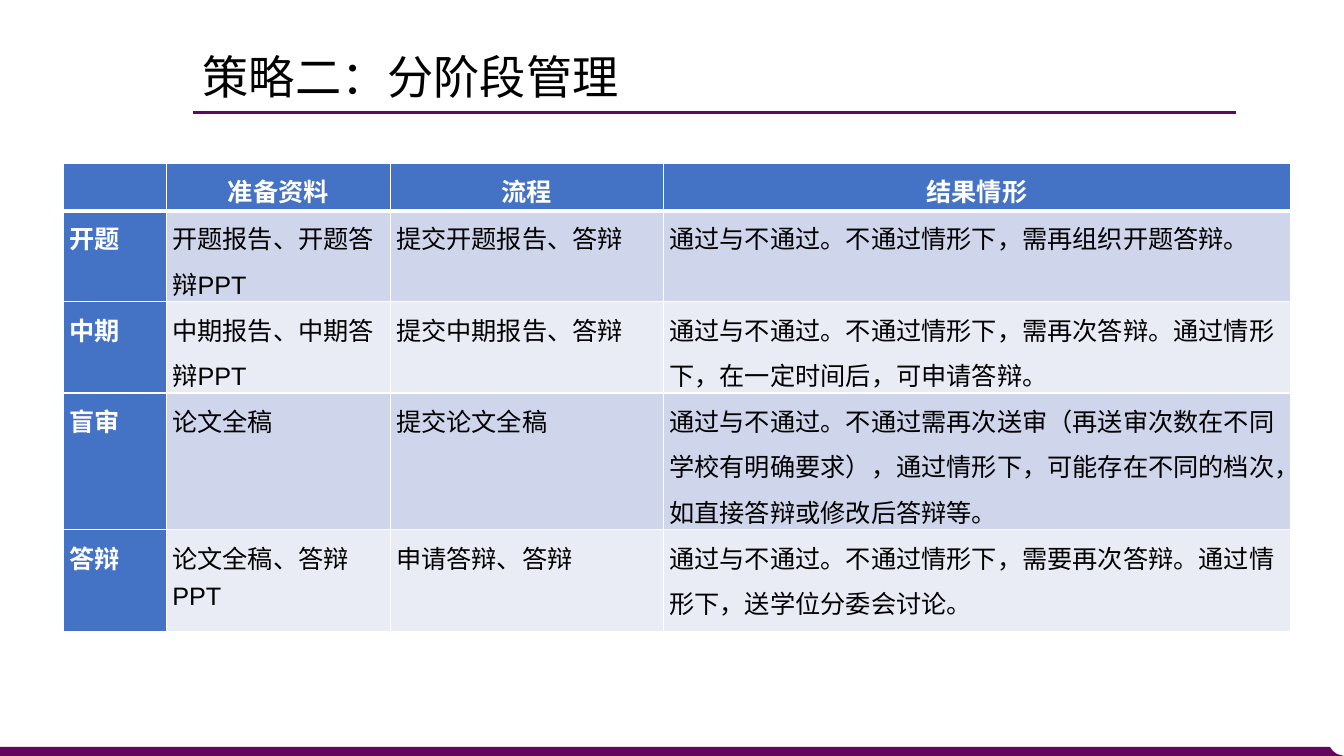
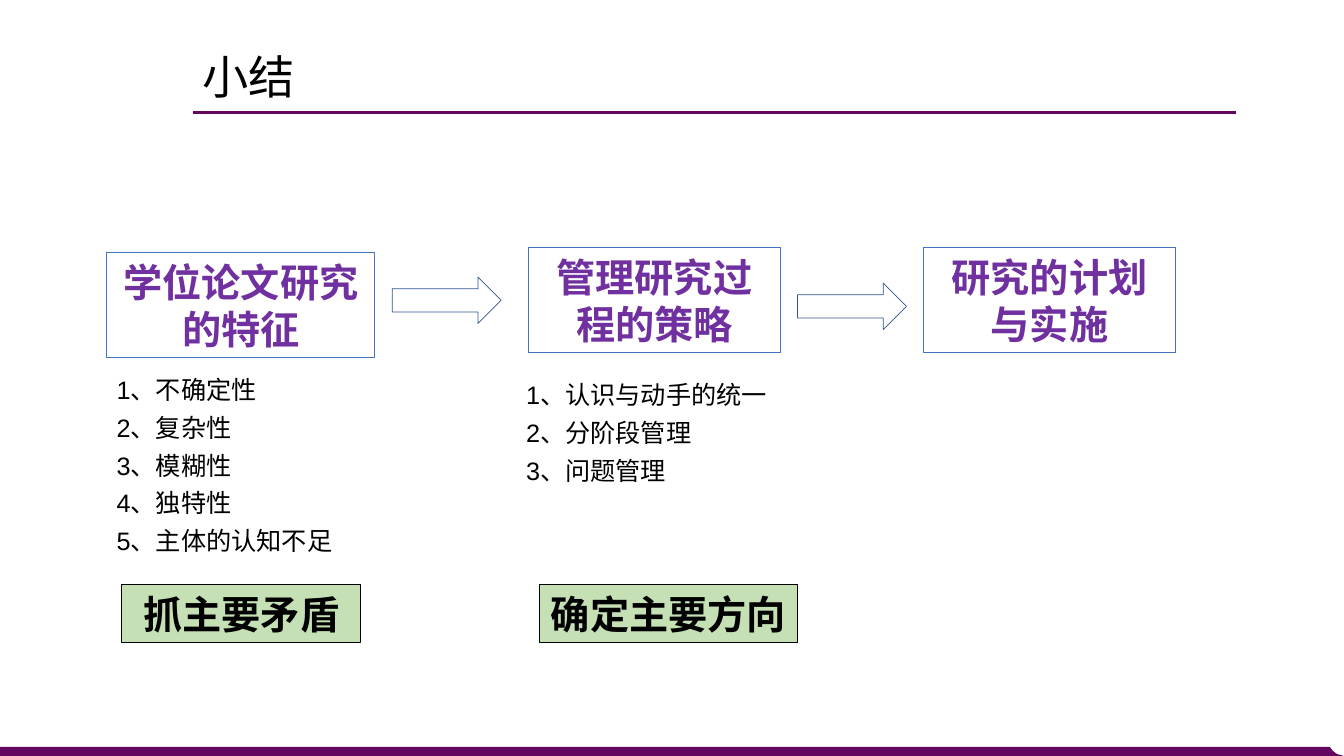
from lxml import etree
from pptx import Presentation
from pptx.dml.color import RGBColor
from pptx.enum.lang import MSO_LANGUAGE_ID as Language
from pptx.enum.shapes import MSO_CONNECTOR as Connector, MSO_SHAPE as Shape
from pptx.enum.text import MSO_ANCHOR as Anchor, MSO_AUTO_SIZE as AutoSize, PP_ALIGN as Align
from pptx.oxml.ns import qn
from pptx.util import Inches, Pt

CJK = "Noto Sans CJK SC"
LATIN = "Arial"
PURPLE = "63065F"
VIOLET = "7030A0"
BLUE = "4472C4"
ARROW_BLUE = "325491"
GREEN = "C5E0B4"
BLACK = "000000"
WHITE = "FFFFFF"
ROW_FILLS = ("CFD5EA", "E9EBF5")

STAGES = [
    ["", "准备资料", "流程", "结果情形"],
    ["开题", "开题报告、开题答辩PPT", "提交开题报告、答辩",
     "通过与不通过。不通过情形下，需再组织开题答辩。"],
    ["中期", "中期报告、中期答辩PPT", "提交中期报告、答辩",
     "通过与不通过。不通过情形下，需再次答辩。通过情形下，在一定时间后，可申请答辩。"],
    ["盲审", "论文全稿", "提交论文全稿",
     "通过与不通过。不通过需再次送审（再送审次数在不同学校有明确要求），"
     "通过情形下，可能存在不同的档次，如直接答辩或修改后答辩等。"],
    ["答辩", "论文全稿、答辩PPT", "申请答辩、答辩",
     "通过与不通过。不通过情形下，需要再次答辩。通过情形下，送学位分委会讨论。"],
]
COLUMN_WIDTHS = (1.02, 2.22, 2.71, 6.22)
ROW_HEIGHTS = (0.47, 0.72, 0.76, 1.07, 1.01)


def color(hex_value):
    return RGBColor.from_string(hex_value)


def inches(*values):
    return [Inches(value) for value in values]


def write(frame, text, size, hex_value, font=CJK, bold=False, align=Align.LEFT, spacing=None):
    """Fill a text frame, one paragraph a line, all in one format."""
    frame.text = text
    for para in frame.paragraphs:
        para.alignment = align
        para.line_spacing = spacing
        for span in para.runs:
            span.font.size = Pt(size)
            span.font.bold = bold
            span.font.name = font
            span.font.color.rgb = color(hex_value)
            span.font.language_id = Language.SIMPLIFIED_CHINESE
            east_asian = etree.Element(qn("a:ea"), typeface=CJK)
            span.font._element.find(qn("a:latin")).addnext(east_asian)


def set_up_layout(deck, layout):
    """Place the title, the rule under it and the bottom band on the layout."""
    title = layout.placeholders[0]
    title.left, title.top, title.width, title.height = inches(1.91, 0.44, 10.31, 0.69)

    slide = deck.slides.add_slide(layout)
    corner = [(13.19, 7.41), (13.22, 7.45), (13.26, 7.48), (13.33, 7.5), (0, 7.5)]
    outline = slide.shapes.build_freeform(*inches(0, 7.41), scale=1.0)
    outline.add_line_segments([inches(*point) for point in corner], close=True)
    band = outline.convert_to_shape()
    band.shadow.inherit = False
    band.fill.solid()
    band.fill.fore_color.rgb = color(PURPLE)
    band.line.fill.background()

    rule = slide.shapes.add_connector(Connector.STRAIGHT, *inches(1.91, 1.12, 12.26, 1.12))
    rule.line.color.rgb = color(PURPLE)
    rule.line.width = Pt(2.25)
    etree.SubElement(rule.element.spPr, qn("a:effectLst"))

    for number, shape in enumerate((band, rule), start=20):
        shape.element.xpath(".//p:cNvPr")[0].set("id", str(number))
        layout.shapes.element.append(shape.element)
    return slide


def set_title(slide, text):
    frame = slide.shapes.title.text_frame
    write(frame, text, 33, BLACK, spacing=0.9)
    frame.auto_size = AutoSize.NONE
    frame.vertical_anchor = Anchor.MIDDLE


def add_outline(slide, kind, area, line, width, fill=None):
    shape = slide.shapes.add_shape(kind, *inches(*area))
    shape.shadow.inherit = False
    shape.line.color.rgb = color(line)
    shape.line.width = Pt(width)
    if fill:
        shape.fill.solid()
        shape.fill.fore_color.rgb = color(fill)
    else:
        shape.fill.background()
    return shape


def add_label(slide, area, text, hex_value, line, fill=None):
    box = add_outline(slide, Shape.RECTANGLE, area, line, 0.75, fill)
    box.text_frame.word_wrap = True
    write(box.text_frame, text, 28, hex_value, bold=True, align=Align.CENTER)


def add_numbered(slide, area, items, align):
    frame = slide.shapes.add_textbox(*inches(*area)).text_frame
    frame.word_wrap = True
    lines = [f"{number}、{item}" for number, item in enumerate(items, start=1)]
    write(frame, "\n".join(lines), 18, BLACK, LATIN, align=align, spacing=1.25)


def add_border(cell, side, width):
    line = etree.SubElement(cell._tc.get_or_add_tcPr(), qn(f"a:ln{side}"), w=str(Pt(width)))
    fill = etree.SubElement(line, qn("a:solidFill"))
    etree.SubElement(fill, qn("a:srgbClr"), val=WHITE)


def format_cell(cell, text, row, column):
    header = row == 0
    strong = header or column == 0
    for side in "LRTB":
        add_border(cell, side, 3 if (row, side) in ((0, "B"), (1, "T")) else 1)
    cell.fill.solid()
    cell.fill.fore_color.rgb = color(BLUE if strong else ROW_FILLS[(row - 1) % 2])
    cell.margin_left = cell.margin_right = Inches(0.06)
    cell.margin_top = cell.margin_bottom = 0
    write(cell.text_frame, text, 18, WHITE if strong else BLACK, LATIN, strong,
          Align.CENTER if header else Align.LEFT, 1.25)


def add_stage_table(slide):
    area = inches(0.63, 1.62, sum(COLUMN_WIDTHS), sum(ROW_HEIGHTS))
    table = slide.shapes.add_table(len(STAGES), len(COLUMN_WIDTHS), *area).table
    for column, width in zip(table.columns, COLUMN_WIDTHS):
        column.width = Inches(width)
    for row, height in zip(table.rows, ROW_HEIGHTS):
        row.height = Inches(height)
    for row, texts in enumerate(STAGES):
        for column, text in enumerate(texts):
            format_cell(table.cell(row, column), text, row, column)


def add_summary(slide):
    for area, text in [
        ((1.06, 2.51, 2.66, 1.04), "学位论文研究的特征"),
        ((5.24, 2.46, 2.5, 1.04), "管理研究过程的策略"),
        ((9.16, 2.46, 2.5, 1.04), "研究的计划与实施"),
    ]:
        add_label(slide, area, text, VIOLET, BLUE)
    for left, top in [(3.89, 2.75), (7.91, 2.81)]:
        add_outline(slide, Shape.RIGHT_ARROW, (left, top, 1.08, 0.46), ARROW_BLUE, 0.5)
    add_numbered(slide, (1.06, 3.59, 2.66, 1.97),
                 ["不确定性", "复杂性", "模糊性", "独特性", "主体的认知不足"], Align.JUSTIFY)
    add_numbered(slide, (5.12, 3.64, 3.08, 1.21),
                 ["认识与动手的统一", "分阶段管理", "问题管理"], Align.LEFT)
    for left, width, text in [(1.21, 2.37, "抓主要矛盾"), (5.35, 2.56, "确定主要方向")]:
        add_label(slide, (left, 5.8, width, 0.57), text, BLACK, BLACK, GREEN)


def main():
    deck = Presentation()
    deck.slide_width, deck.slide_height = inches(13.33, 7.5)
    layout = deck.slide_layouts.get_by_name("Title Only")

    stages = set_up_layout(deck, layout)
    set_title(stages, "策略二：分阶段管理")
    add_stage_table(stages)

    summary = deck.slides.add_slide(layout)
    set_title(summary, "小结")
    add_summary(summary)
    deck.save("out.pptx")


if __name__ == "__main__":
    main()
